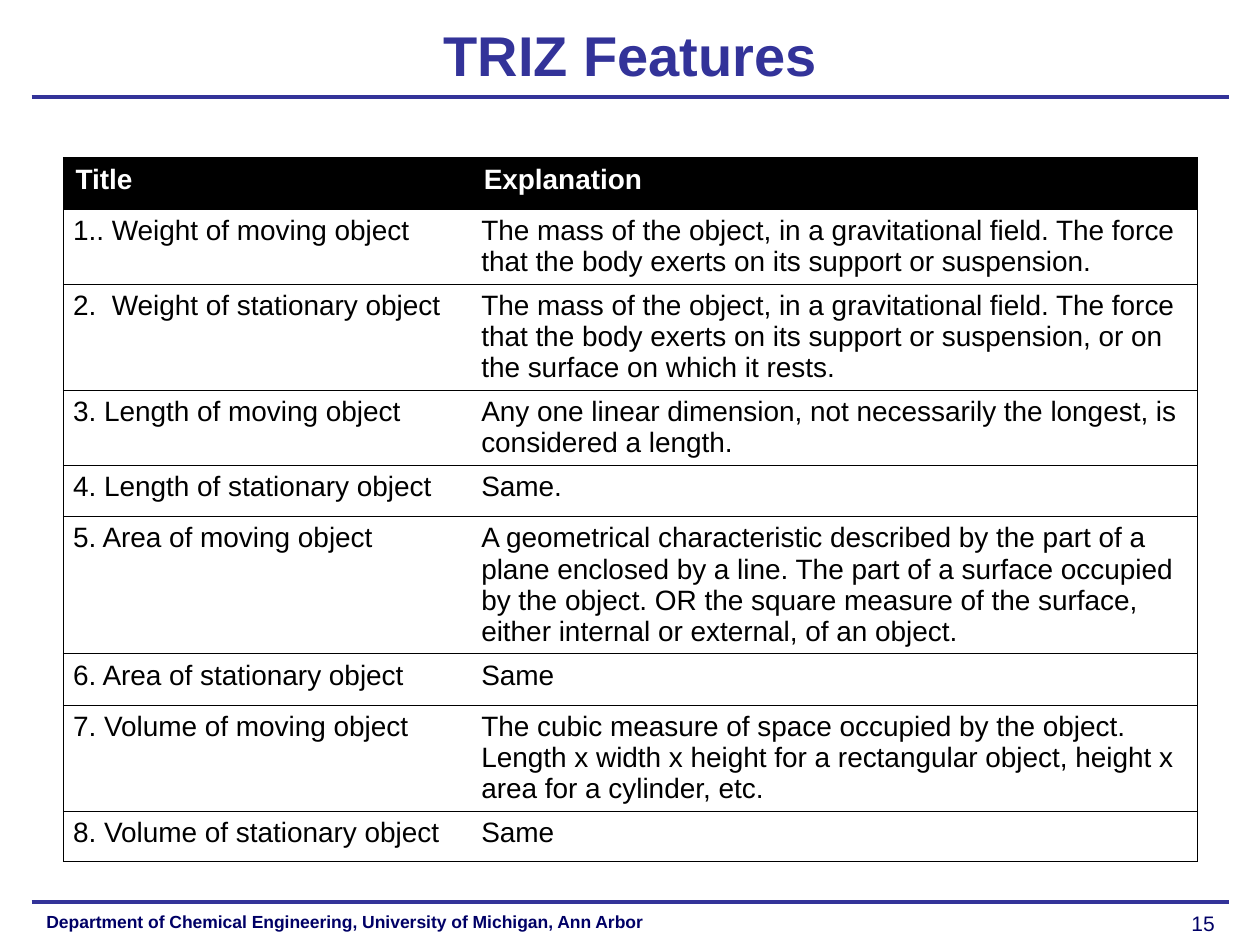
from pptx import Presentation
from pptx.dml.color import RGBColor as Rgb
from pptx.enum.text import MSO_ANCHOR as Anchor, PP_ALIGN as Align
from pptx.oxml import parse_xml
from pptx.oxml.ns import nsdecls
from pptx.util import Inches, Pt

BLUE = Rgb(0x33, 0x33, 0x99)
NAVY = Rgb(0x00, 0x00, 0x66)
BLACK = Rgb(0x00, 0x00, 0x00)
WHITE = Rgb(0xFF, 0xFF, 0xFF)

COLS, ROWS = 100, 75
EDGE = 4318

HEAD = ("Title", "Explanation")
ITEMS = [
    ("1.. Weight of moving object",
     "The mass of the object, in a gravitational field. The force that the "
     "body exerts on its support or suspension.", 5.3),
    ("2.  Weight of stationary object",
     "The mass of the object, in a gravitational field. The force that the "
     "body exerts on its support or suspension, or on the surface on which "
     "it rests.", 8),
    ("3. Length of moving object",
     "Any one linear dimension, not necessarily the longest, is considered "
     "a length.", 5.3),
    ("4. Length of stationary object", "Same.", 4.1),
    ("5. Area of moving object",
     "A geometrical characteristic described by the part of a plane enclosed "
     "by a line. The part of a surface occupied by the object. OR the square "
     "measure of the surface, either internal or external, of an object.",
     10.7),
    ("6. Area of stationary object", "Same", 4.1),
    ("7. Volume of moving object",
     "The cubic measure of space occupied by the object. Length x width x "
     "height for a rectangular object, height x area for a cylinder, etc.", 8),
    ("8. Volume of stationary object", "Same", 4),
]


class Deck:
    font = "Arial"

    def __init__(self):
        self.prs = Presentation()
        self.prs.slide_width = Inches(10)
        self.prs.slide_height = Inches(7.5)
        self.slide = self.prs.slides.add_slide(self.prs.slide_layouts[5])

    def x(self, cols):
        return round(self.prs.slide_width * cols / COLS)

    def y(self, rows):
        return round(self.prs.slide_height * rows / ROWS)

    def box(self, left, top, wide, high):
        return self.x(left), self.y(top), self.x(wide), self.y(high)

    def text(self, frame, words, size, color, bold=False, align=Align.LEFT):
        frame.word_wrap = True
        para = frame.paragraphs[0]
        para.alignment = align
        run = para.add_run()
        run.text = words
        font = run.font
        font.name, font.size, font.bold = self.font, Pt(size), bold
        font.color.rgb = color

    def title(self, words, *area):
        shape = self.slide.shapes.title
        shape.left, shape.top, shape.width, shape.height = self.box(*area)
        shape.text_frame.vertical_anchor = Anchor.MIDDLE
        self.text(shape.text_frame, words, 32, BLUE, True, Align.CENTER)

    def rule(self, row):
        line = self.slide.shapes.add_connector(
            1, self.x(2.5), self.y(row), self.x(97.5), self.y(row))
        line.line.color.rgb = BLUE
        line.line.width = Pt(2.25)
        line._element.spPr.append(
            parse_xml(f"<a:effectLst {nsdecls('a')}/>"))

    def label(self, area, words, size, **style):
        shape = self.slide.shapes.add_textbox(*self.box(*area))
        self.text(shape.text_frame, words, size, NAVY, **style)

    def cell(self, cell, words, head, inner):
        pad = Inches(0.1 if head else 0.08)
        cell.margin_left = cell.margin_right = pad
        cell.margin_top = cell.margin_bottom = Inches(0.05)
        cell.vertical_anchor = Anchor.TOP
        self.text(cell.text_frame, words, 16, WHITE if head else BLACK, head)
        props = cell._tc.get_or_add_tcPr()
        for side in "LRTB":
            paint = ("<a:noFill/>" if side == inner else
                     f'<a:solidFill><a:srgbClr val="{BLACK}"/></a:solidFill>')
            props.append(parse_xml(
                f'<a:ln{side} {nsdecls("a")} w="{EDGE}">{paint}</a:ln{side}>'))
        if head:
            cell.fill.solid()
            cell.fill.fore_color.rgb = BLACK
        else:
            cell.fill.background()

    def table(self, left, top, wides, lines):
        high = sum(line[-1] for line in lines)
        area = self.box(left, top, sum(wides), high)
        grid = self.slide.shapes.add_table(
            len(lines), len(wides), *area).table
        grid.horz_banding = False
        for col, wide in zip(grid.columns, wides):
            col.width = self.x(wide)
        for i, (*texts, tall) in enumerate(lines):
            grid.rows[i].height = self.y(tall)
            for j, words in enumerate(texts):
                self.cell(grid.cell(i, j), words, i == 0, "RL"[j])


def main():
    deck = Deck()
    for row in (7.7, 71.6):
        deck.rule(row)
    deck.title("TRIZ Features", 1.7, 0.8, 96.7, 7)
    deck.table(5, 12.5, (32.4, 57.6), [(*HEAD, 4.1), *ITEMS])
    deck.label((2.7, 71.8, 66.7, 2.5),
               "Department of Chemical Engineering, University of Michigan, "
               "Ann Arbor", 10, bold=True)
    deck.label((85.7, 71.8, 11.7, 2.6), "15", 12, align=Align.RIGHT)
    deck.prs.save("out.pptx")


if __name__ == "__main__":
    main()
